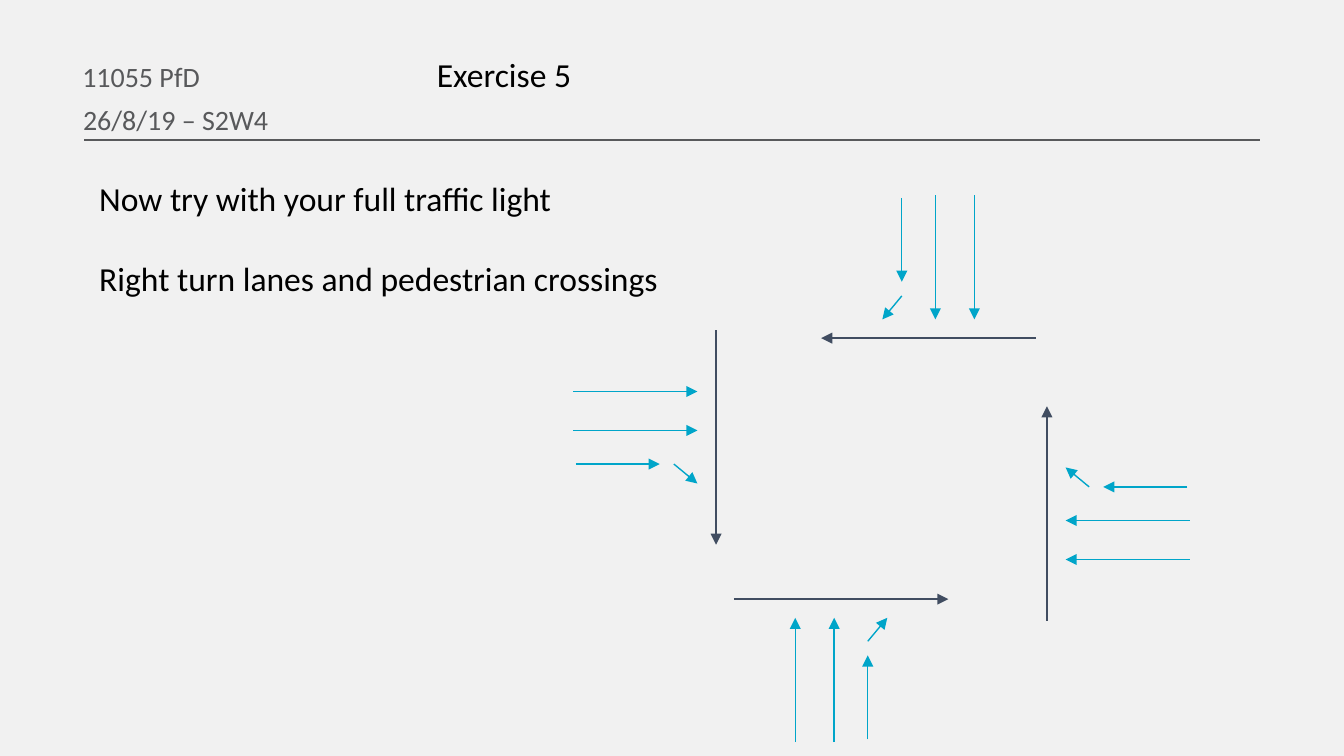
from dataclasses import dataclass

from lxml import etree
from pptx import Presentation
from pptx import util as u
from pptx.dml.color import RGBColor
from pptx.enum import shapes, text
from pptx.oxml import ns

# Grid of square cells on a 16:9 slide: 100 columns by 56.25 rows
CELL = 0.1
COLS = 100
ROWS = COLS * 9 / 16


@dataclass(frozen=True)
class Theme:
    font: str = "Calibri"
    background: str = "F1F1F1"
    ink: str = "000000"
    header: str = "58595B"
    lane: str = "00A5C9"
    crossing: str = "414D61"
    body_size: float = 18
    header_size: float = 15
    line_width: float = 0.75


THEME = Theme()

# Start of the outer lane, travel direction and right-hand direction
APPROACHES = [
    ((59.17, 55.22), (0, -1), (1, 0)),   # from the south
    ((42.64, 29.13), (1, 0), (0, 1)),    # from the west
    ((72.5, 14.52), (0, 1), (-1, 0)),    # from the north
    ((88.54, 41.63), (-1, 0), (0, -1)),  # from the east
]

# One approach as (forward, rightward) points from the outer lane's start
APPROACH_ARROWS = [
    ((0, 0), (9.25, 0), THEME.lane),
    ((0, 2.9), (9.25, 2.9), THEME.lane),
    ((0.2, 5.4), (6.45, 5.4), THEME.lane),
    ((7.5, 5.4), (9.25, 6.85), THEME.lane),           # right turn
    ((10.64, -4.57), (10.64, 11.4), THEME.crossing),  # pedestrians
]


def grid(cells):
    return u.Inches(cells * CELL)


def write(box, lines, size, color, gap=0):
    """Fill a box with one paragraph per line."""
    frame = box.text_frame
    frame.word_wrap = True
    frame.auto_size = text.MSO_AUTO_SIZE.NONE
    frame.vertical_anchor = text.MSO_ANCHOR.TOP
    frame.margin_left = frame.margin_right = u.Inches(0.1)
    frame.margin_top = frame.margin_bottom = u.Inches(0.05)
    for index, line in enumerate(lines):
        paragraph = frame.paragraphs[0] if index == 0 else frame.add_paragraph()
        paragraph.alignment = text.PP_ALIGN.LEFT
        paragraph.space_before = u.Pt(gap if index else 0)
        run = paragraph.add_run()
        run.text = line
        run.font.name = THEME.font
        run.font.size = u.Pt(size)
        run.font.color.rgb = RGBColor.from_string(color)


def add_text(slide, place, lines, size, color, gap=0):
    box = slide.shapes.add_textbox(*map(grid, place))
    write(box, lines, size, color, gap)


def add_title(slide, place, wording):
    title = slide.shapes.title
    title.left, title.top, title.width, title.height = map(grid, place)
    write(title, [wording], THEME.body_size, THEME.ink)


def add_line(parent, start, end, color, arrow=False):
    line = parent.shapes.add_connector(
        shapes.MSO_CONNECTOR.STRAIGHT, *map(grid, (*start, *end)))
    line.line.color.rgb = RGBColor.from_string(color)
    line.line.width = u.Pt(THEME.line_width)
    properties = line._element.spPr
    if arrow:
        outline = properties.find(ns.qn("a:ln"))
        etree.SubElement(outline, ns.qn("a:tailEnd"), type="triangle")
    etree.SubElement(properties, ns.qn("a:effectLst"))


def add_approach(slide, origin, forward, right):
    """Draw the lanes and crossing of one arm of the junction."""
    def turn(point):
        ahead, aside = point
        return tuple(o + ahead * f + aside * r
                     for o, f, r in zip(origin, forward, right))

    arm = slide.shapes.add_group_shape()
    for start, end, color in APPROACH_ARROWS:
        add_line(arm, turn(start), turn(end), color, arrow=True)


def main():
    deck = Presentation()
    deck.slide_width, deck.slide_height = grid(COLS), grid(ROWS)
    slide = deck.slides.add_slide(deck.slide_layouts.get_by_name("Title Only"))
    fill = slide.background.fill
    fill.solid()
    fill.fore_color.rgb = RGBColor.from_string(THEME.background)

    # Header
    add_line(slide, (93.73, 10.42), (6.25, 10.42), THEME.header)
    add_text(slide, (5.14, 3.9, 69.8, 2.5), ["11055 PfD"],
             THEME.header_size, THEME.header)
    add_text(slide, (5.2, 7.14, 69.7, 2.3), ["26/8/19 – S2W4"],
             THEME.header_size, THEME.header)
    add_title(slide, (31.5, 3.5, 34.6, 4), "Exercise 5")

    # Instructions
    add_text(slide, (6.4, 12.74, 53.3, 10.1),
             ["Now try with your full traffic light",
              "Right turn lanes and pedestrian crossings"],
             THEME.body_size, THEME.ink, gap=21.5)

    # Junction
    for origin, forward, right in APPROACHES:
        add_approach(slide, origin, forward, right)

    deck.save("out.pptx")


main()
